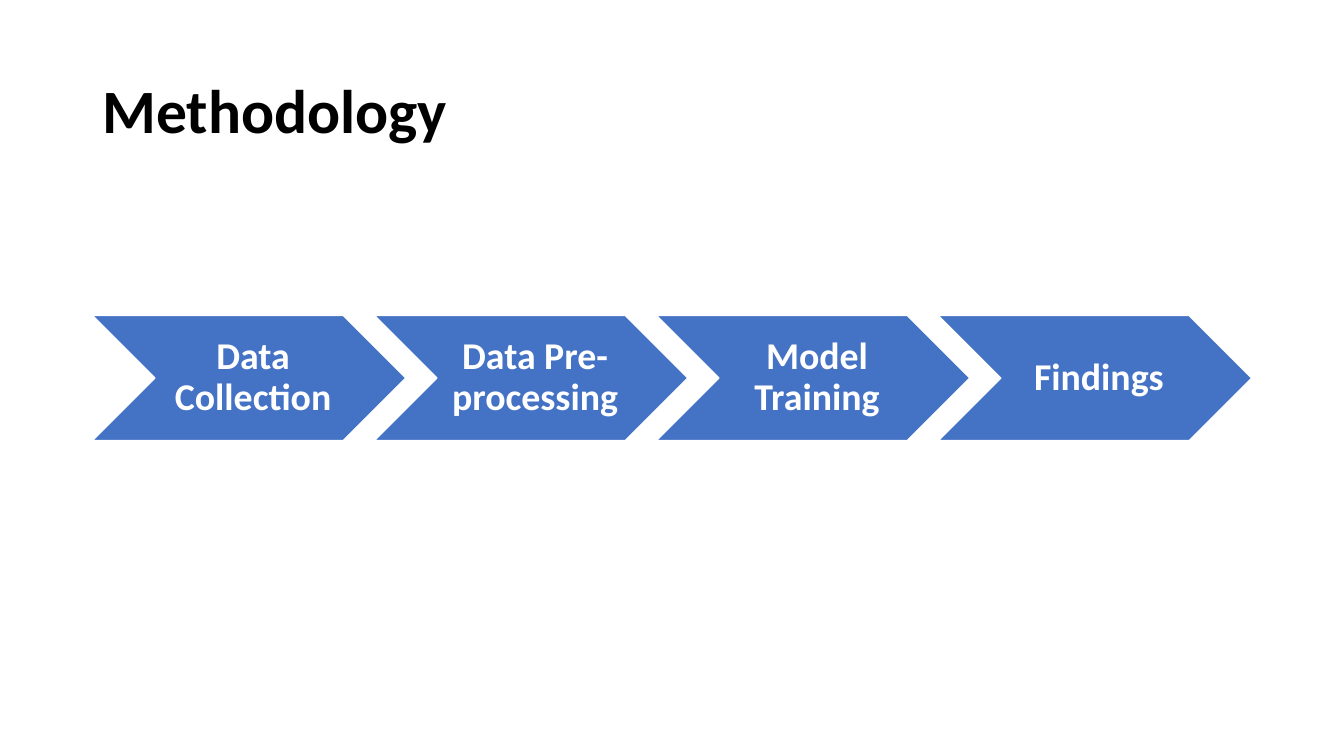
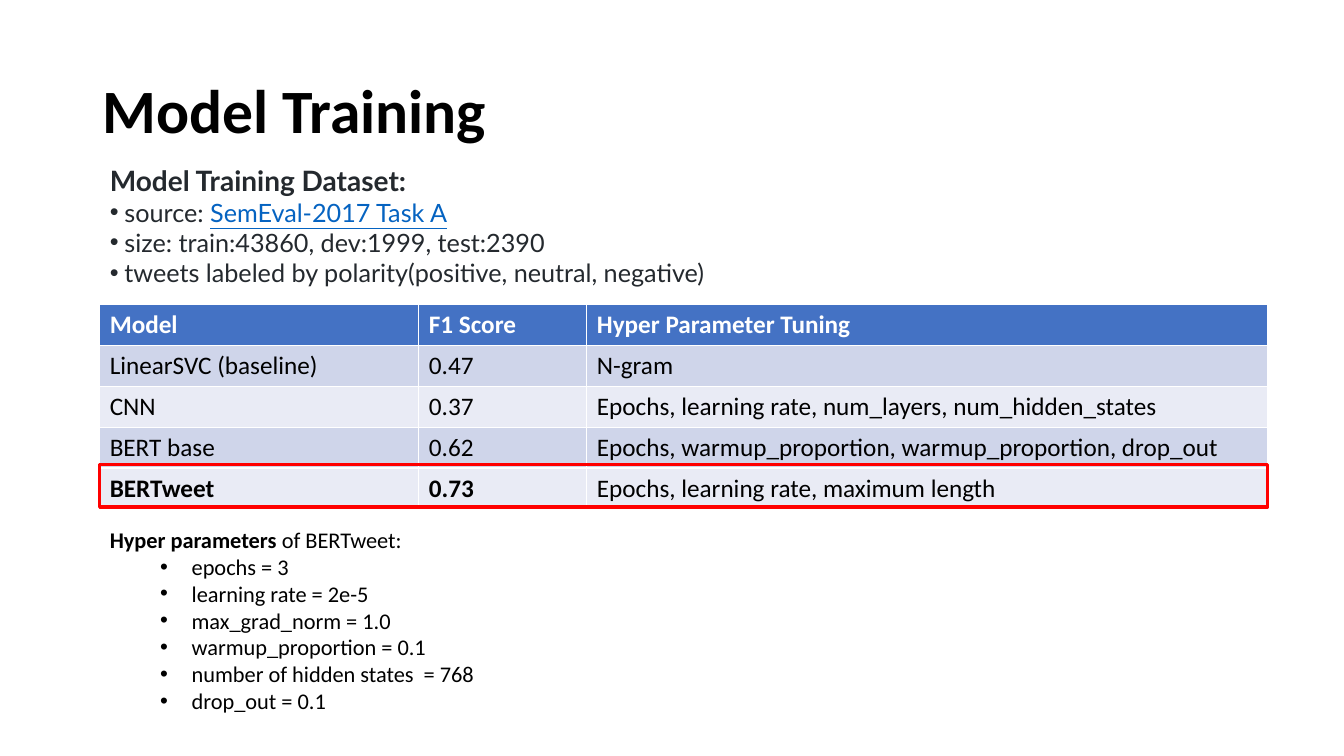
from pptx import Presentation
from pptx.dml.color import RGBColor
from pptx.enum.shapes import MSO_SHAPE
from pptx.enum.text import MSO_ANCHOR, MSO_AUTO_SIZE, PP_ALIGN
from pptx.oxml.ns import qn
from pptx.util import Pt
from lxml import etree

CHEVRON, RECT = MSO_SHAPE.CHEVRON, MSO_SHAPE.RECTANGLE
LEFT, CENTER = PP_ALIGN.LEFT, PP_ALIGN.CENTER
MIDDLE, FIXED = MSO_ANCHOR.MIDDLE, MSO_AUTO_SIZE.NONE

# Shared look
BLUE, WHITE, BLACK, RED = "4472C4", "FFFFFF", "000000", "FF0000"
INK, LINK = "24292E", "0563C1"
BANDS = ["CFD5EA", "E9EBF5"]
SANS, LATO = "Calibri", "Lato"
EDGE, WIDE, ROW = 71.2, 834.4, 29.2

STEPS = ["Data Collection", "Data Pre-processing", "Model Training", "Findings"]
SCORES = [
    ["Model", "F1 Score", "Hyper Parameter Tuning"],
    ["LinearSVC (baseline)", "0.47", "N-gram"],
    ["CNN", "0.37", "Epochs, learning rate, num_layers, num_hidden_states"],
    ["BERT base", "0.62",
     "Epochs, warmup_proportion, warmup_proportion, drop_out"],
    ["BERTweet", "0.73", "Epochs, learning rate, maximum length"],
]
SOURCE = [
    ["Model Training Dataset:"],
    ["source: ", "SemEval-2017 Task A"],
    ["size: train:43860, dev:1999, test:2390"],
    ["tweets labeled by polarity(positive, neutral, negative)"],
]
PARAMS = [
    ["Hyper parameters ", "of BERTweet:"],
    ["epochs = 3"],
    ["learning rate = 2e-5"],
    ["max_grad_norm = 1.0"],
    ["warmup_proportion = 0.1"],
    ["number of hidden states  = 768"],
    ["drop_out = 0.1"],
]


def rgb(code):
    return RGBColor.from_string(code)


def style(run, size, color, bold=False, face=SANS):
    font = run.font
    font.name, font.size, font.bold = face, Pt(size), bold
    font.color.rgb = rgb(color)


def place(item, left, top, width, height):
    item.left, item.top = Pt(left), Pt(top)
    item.width, item.height = Pt(width), Pt(height)


def head(slide, text):
    title = slide.shapes.title
    place(title, 66, 28.8, 828, 104.4)
    frame = title.text_frame
    frame.text = text
    frame.vertical_anchor = MIDDLE
    para = frame.paragraphs[0]
    para.alignment, para.line_spacing = LEFT, 0.9
    style(para.runs[0], 44, BLACK, True)


def bullet(para, margin, hang, mark=None):
    props = para._p.get_or_add_pPr()
    props.set("marL", str(Pt(margin)))
    props.set("indent", str(-Pt(hang)))
    if mark:
        etree.SubElement(props, qn("a:buChar")).set("char", mark)
    else:
        etree.SubElement(props, qn("a:buNone"))


def notes(holder, box, lines, sizes, color, face, margin, hang, level=0):
    """Fill a body placeholder: a heading line, then bulleted lines."""
    place(holder, *box)
    frame = holder.text_frame
    frame.auto_size, frame.word_wrap = FIXED, True
    for i, parts in enumerate(lines):
        para = frame.add_paragraph() if i else frame.paragraphs[0]
        para.space_before = Pt(0)
        if i:
            para.level = level
            bullet(para, margin, hang, "•")
        else:
            bullet(para, 0, 0)
        for j, part in enumerate(parts):
            run = para.add_run()
            run.text = part
            style(run, sizes[min(i, 1)], color, i == 0 and j == 0, face)


def step(slide, left, text):
    shape = slide.shapes.add_shape(
        CHEVRON, Pt(left), Pt(225.4), Pt(223.9), Pt(89.3))
    shape.shadow.inherit = False
    shape.fill.solid()
    shape.fill.fore_color.rgb = rgb(BLUE)
    shape.line.color.rgb = rgb(WHITE)
    shape.line.width = Pt(1)
    frame = shape.text_frame
    frame.text = text
    frame.word_wrap, frame.vertical_anchor = True, MIDDLE
    frame.margin_left = Pt(8.6)
    frame.margin_right = frame.margin_top = frame.margin_bottom = Pt(2.9)
    para = frame.paragraphs[0]
    para.alignment, para.line_spacing = CENTER, 0.9
    style(para.runs[0], 27, WHITE, True)


def grid(slide, top, rows, widths):
    table = slide.shapes.add_table(
        len(rows), len(widths), Pt(EDGE), Pt(top),
        Pt(WIDE), Pt(ROW * len(rows))).table
    for col, width in zip(table.columns, widths):
        col.width = Pt(width)
    for r, row in enumerate(rows):
        table.rows[r].height = Pt(ROW)
        for c, text in enumerate(row):
            cell = table.cell(r, c)
            cell.text = text
            cell.fill.solid()
            cell.fill.fore_color.rgb = rgb(BANDS[(r - 1) % 2] if r else BLUE)
            best = r == len(rows) - 1 and c < 2
            style(cell.text_frame.paragraphs[0].runs[0], 18,
                  BLACK if r else WHITE, r == 0 or best)


def frame_row(slide, top):
    shape = slide.shapes.add_shape(
        RECT, Pt(EDGE), Pt(top), Pt(WIDE), Pt(30.2))
    shape.shadow.inherit = False
    shape.fill.background()
    shape.line.color.rgb = rgb(RED)
    shape.line.width = Pt(2.25)


def method(deck):
    slide = deck.slides.add_slide(deck.slide_layouts[5])
    head(slide, "Methodology")
    for i, text in enumerate(STEPS):
        step(slide, 66 + i * 201.4, text)


def training(deck):
    slide = deck.slides.add_slide(deck.slide_layouts[3])
    head(slide, "Model Training")
    upper, lower = slide.placeholders[1], slide.placeholders[2]

    # Dataset facts
    notes(upper, (EDGE, 113, 786, 97), SOURCE, (20, 18), INK, LATO, 10.5, 10.5)
    link = upper.text_frame.paragraphs[1].runs[1].font
    link.color.rgb, link.underline = rgb(LINK), True

    # Scores, with the best model framed
    top = 217.5
    grid(slide, top, SCORES, [228, 120, 486.4])
    frame_row(slide, top + 4 * ROW - 2.3)

    # Settings of the best model
    notes(lower, (EDGE, 372.2, 278, 163), PARAMS, (16, 16), BLACK, SANS,
          58.5, 22.5, 1)


def main():
    deck = Presentation()
    deck.slide_width, deck.slide_height = Pt(960), Pt(540)
    method(deck)
    training(deck)
    deck.save("out.pptx")


if __name__ == "__main__":
    main()
